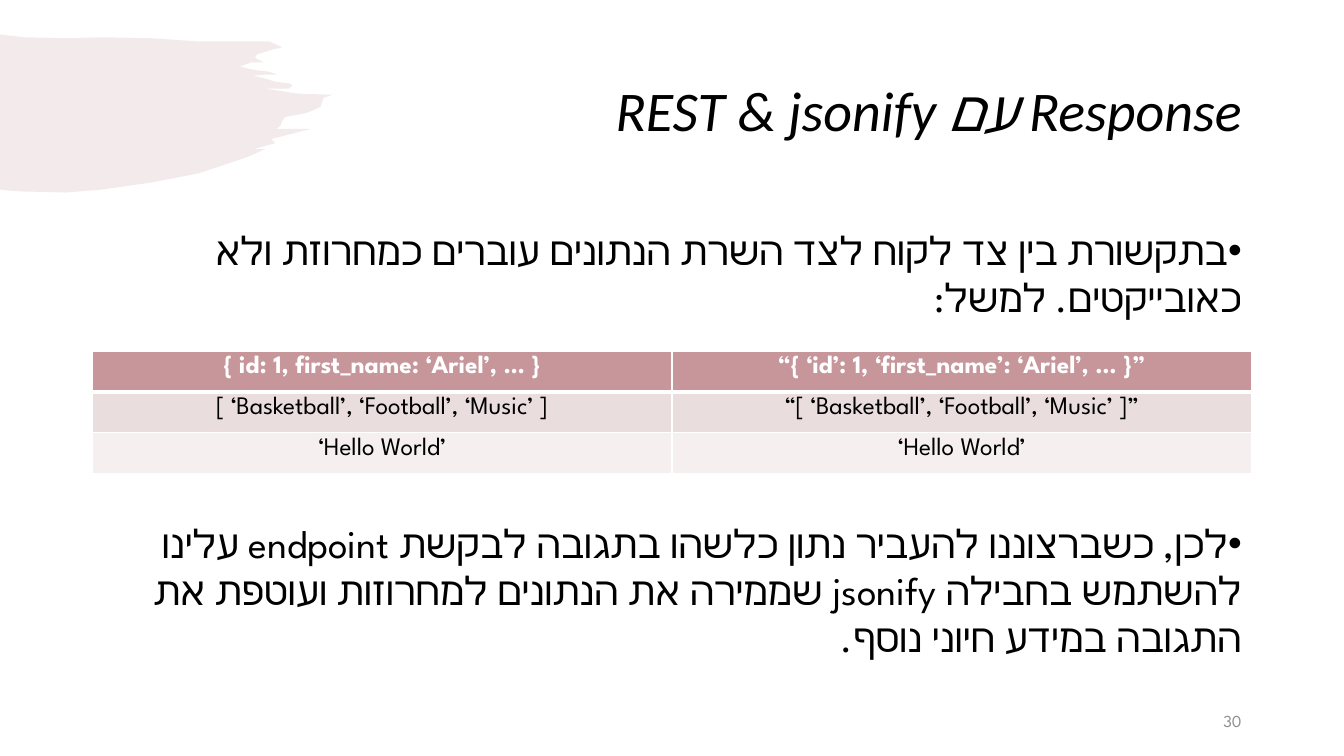
from dataclasses import dataclass

from lxml.etree import SubElement
from pptx import Presentation
from pptx.dml.color import RGBColor
from pptx.enum.text import MSO_ANCHOR, PP_ALIGN
from pptx.oxml import parse_xml
from pptx.oxml.ns import nsdecls, qn
from pptx.slide import Slide
from pptx.table import _Cell
from pptx.text.text import _Paragraph
from pptx.util import Emu, Inches, Pt

# The slide is a grid of 160 columns by 90 rows of square cells.
CELL = Inches(1) / 12
COLUMNS, ROWS = 160, 90


@dataclass(frozen=True)
class Theme:
    rose: str = "C6969B"
    bands: tuple[str, ...] = ("EADDDE", "F5EFEF")
    white: str = "FFFFFF"
    black: str = "000000"
    grey: str = "8C8C8C"
    title_font: str = "Calibri"
    body_font: str = "League Spartan"
    title_size: int = 40
    body_size: int = 28
    table_size: int = 18
    number_size: int = 12


@dataclass(frozen=True)
class Frame:
    """A box in grid columns and rows."""
    left: float
    top: float
    width: float
    height: float

    def emu(self) -> tuple[Emu, ...]:
        return tuple(Emu(round(v * CELL)) for v in (self.left, self.top, self.width, self.height))


@dataclass(frozen=True)
class Style:
    size: int
    color: str
    font: str
    bold: bool = False
    italic: bool = False


@dataclass(frozen=True)
class Para:
    text: str
    style: Style
    align: PP_ALIGN = PP_ALIGN.RIGHT
    rtl: bool = False
    bullet: bool = False
    before: int = 0
    spacing: float = 1.0


@dataclass(frozen=True)
class TextBlock:
    frame: Frame
    paras: tuple[Para, ...]
    anchor: MSO_ANCHOR = MSO_ANCHOR.MIDDLE


THEME = Theme()
TITLE = Style(THEME.title_size, THEME.black, THEME.title_font, italic=True)
BODY = Style(THEME.body_size, THEME.black, THEME.body_font)
HEADER = Style(THEME.table_size, THEME.white, THEME.body_font, bold=True)
CELL_TEXT = Style(THEME.table_size, THEME.black, THEME.body_font)
NUMBER = Style(THEME.number_size, THEME.grey, THEME.body_font)

TABLE_GAP = 142  # points kept free for the table between the two bullets
TEXT_BLOCKS = (
    TextBlock(Frame(11, 4.8, 138, 17.4),
              (Para("Response עם REST & jsonify", TITLE, rtl=True, spacing=0.9),)),
    TextBlock(Frame(11, 26.4, 138, 53.2), (
        Para("בתקשורת בין צד לקוח לצד השרת הנתונים עוברים כמחרוזת ולא כאובייקטים. למשל:",
             BODY, rtl=True, bullet=True, before=10),
        Para("לכן, כשברצוננו להעביר נתון כלשהו בתגובה לבקשת endpoint עלינו להשתמש בחבילה "
             "jsonify שממירה את הנתונים למחרוזות ועוטפת את התגובה במידע חיוני נוסף.",
             BODY, rtl=True, bullet=True, before=TABLE_GAP),
    ), MSO_ANCHOR.TOP),
    TextBlock(Frame(113, 83.4, 36, 4.8), (Para("30", NUMBER),)),
)

TABLE_FRAME = Frame(11, 41.8, 138, 14.6)
TABLE_ROWS = (
    ("{ id: 1, first_name: ‘Ariel’, … }", "“{ ‘id’: 1, ‘first_name’: ‘Ariel’, … }”"),
    ("[ ‘Basketball’, ‘Football’, ‘Music’ ]", "“[ ‘Basketball’, ‘Football’, ‘Music’ ]”"),
    ("‘Hello World’", "‘Hello World’"),
)

# Outline of the brush stroke, in hundredths of an inch.
BRUSH = (
    (0, 34), (6, 35), (25, 37), (66, 38), (102, 37), (151, 38), (194, 41), (248, 41),
    (267, 41), (280, 47), (271, 49), (255, 54), (253, 57), (256, 59), (262, 62), (249, 62),
    (238, 66), (246, 68), (256, 70), (266, 71), (275, 74), (263, 74), (251, 75), (263, 78),
    (273, 81), (280, 82), (288, 83), (290, 85), (287, 88), (284, 88), (263, 88), (296, 93),
    (330, 94), (321, 97), (318, 106), (307, 111), (300, 113), (283, 116), (280, 120),
    (278, 125), (274, 128), (308, 128), (269, 138), (273, 142), (252, 148), (263, 148),
    (245, 156), (197, 172), (151, 181), (102, 188), (65, 191), (23, 190), (7, 189), (0, 188),
)


def draw_brush(s: Slide) -> None:
    builder = s.shapes.build_freeform(*BRUSH[0], scale=Inches(1) / 100)
    builder.add_line_segments(BRUSH[1:], close=True)
    sp = builder.convert_to_shape()
    sp.shadow.inherit = False
    sp.fill.solid()
    sp.fill.fore_color.rgb = RGBColor.from_string(THEME.rose)
    color = sp._element.spPr.find(qn("a:solidFill"))[0]
    SubElement(color, qn("a:alpha")).set("val", "20000")
    sp.line.fill.background()


def write_para(p: _Paragraph, para: Para) -> None:
    p.alignment = para.align
    p.line_spacing = para.spacing
    p.space_before = Pt(para.before)
    pPr = p._p.get_or_add_pPr()
    if para.rtl:
        pPr.set("rtl", "1")
    if para.bullet:
        indent = Inches(0.25)
        pPr.set("marR" if para.rtl else "marL", str(indent))
        pPr.set("indent", str(-indent))
        SubElement(pPr, qn("a:buFont")).set("typeface", "Arial")
        SubElement(pPr, qn("a:buChar")).set("char", "•")
    r = p.add_run()
    r.text = para.text
    font, style = r.font, para.style
    font.name, font.size = style.font, Pt(style.size)
    font.bold, font.italic = style.bold, style.italic
    font.color.rgb = RGBColor.from_string(style.color)
    SubElement(r._r.get_or_add_rPr(), qn("a:cs")).set("typeface", style.font)


def draw_text(s: Slide, block: TextBlock) -> None:
    tf = s.shapes.add_textbox(*block.frame.emu()).text_frame
    tf.word_wrap = True
    tf.vertical_anchor = block.anchor
    for i, para in enumerate(block.paras):
        write_para(tf.add_paragraph() if i else tf.paragraphs[0], para)


def set_borders(cell: _Cell, top: int, bottom: int) -> None:
    """Draw white cell edges; top and bottom are widths in points."""
    tcPr = cell._tc.get_or_add_tcPr()
    for i, (side, width) in enumerate(zip("LRTB", (1, 1, top, bottom))):
        tcPr.insert(i, parse_xml(
            f'<a:ln{side} {nsdecls("a")} w="{Pt(width)}"><a:solidFill>'
            f'<a:srgbClr val="{THEME.white}"/></a:solidFill></a:ln{side}>'))


def draw_table(s: Slide) -> None:
    table = s.shapes.add_table(len(TABLE_ROWS), len(TABLE_ROWS[0]), *TABLE_FRAME.emu()).table
    for i, texts in enumerate(TABLE_ROWS):
        for j, text in enumerate(texts):
            cell = table.cell(i, j)
            cell.fill.solid()
            cell.fill.fore_color.rgb = RGBColor.from_string((THEME.rose, *THEME.bands)[i])
            set_borders(cell, top=3 if i == 1 else 1, bottom=3 if i == 0 else 1)
            style = CELL_TEXT if i else HEADER
            write_para(cell.text_frame.paragraphs[0], Para(text, style, PP_ALIGN.CENTER))


def main() -> None:
    prs = Presentation()
    prs.slide_width, prs.slide_height = Emu(round(COLUMNS * CELL)), Emu(round(ROWS * CELL))
    s = prs.slides.add_slide(prs.slide_layouts[6])
    draw_brush(s)
    for block in TEXT_BLOCKS:
        draw_text(s, block)
    draw_table(s)
    prs.save("out.pptx")


if __name__ == "__main__":
    main()
